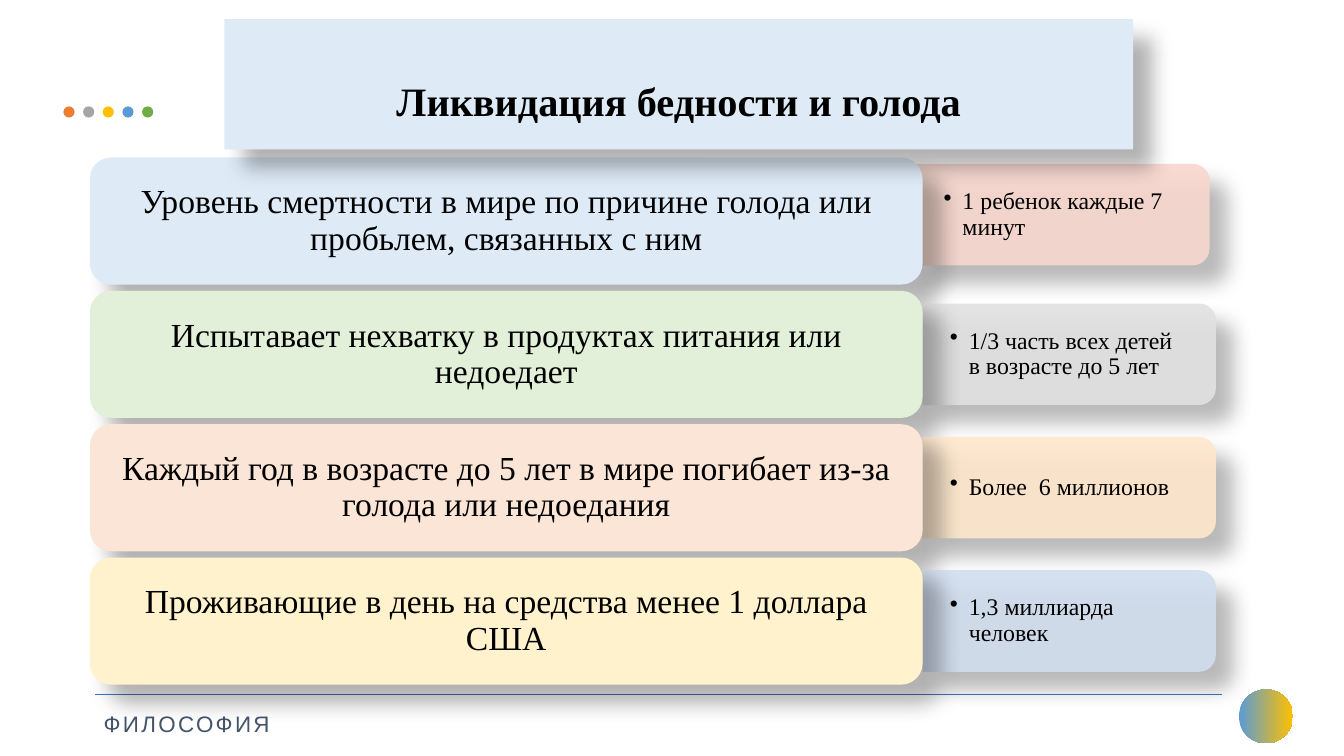
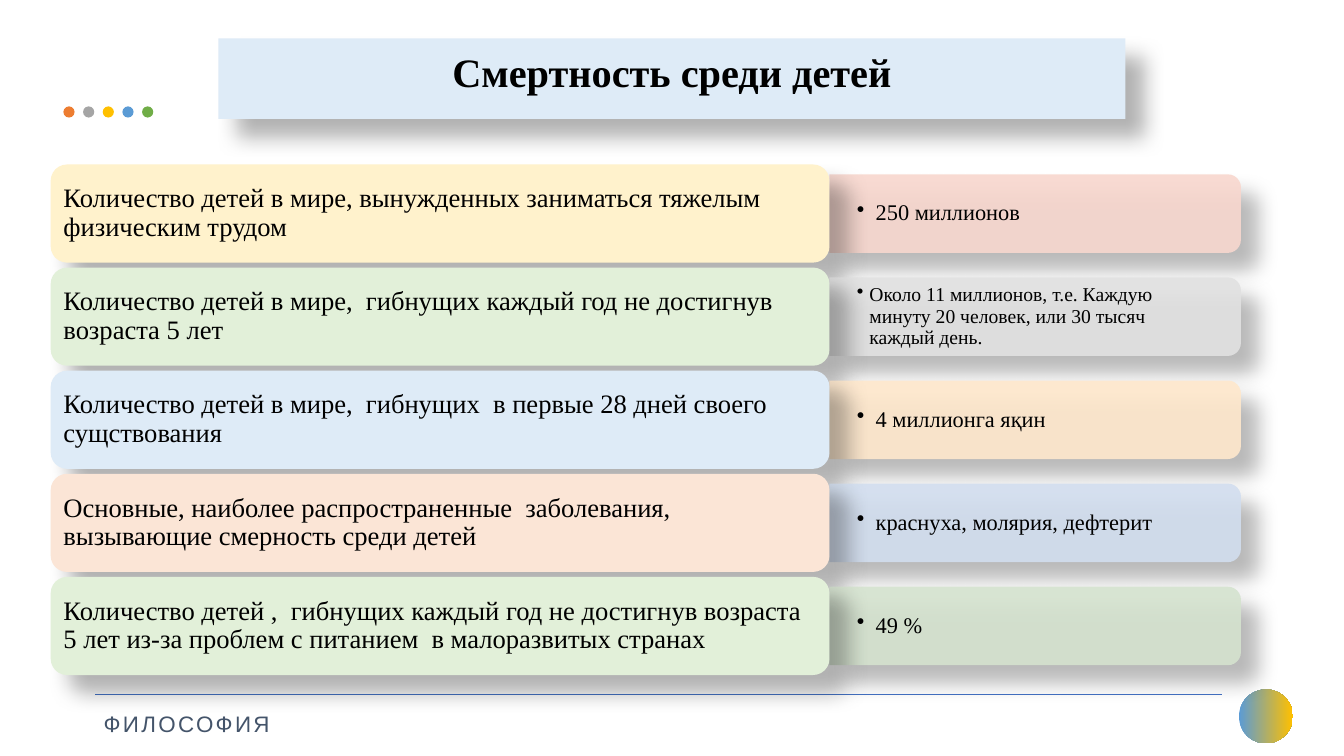
from dataclasses import dataclass

from lxml.etree import SubElement
from pptx import Presentation
from pptx.dml.color import RGBColor
from pptx.enum.shapes import MSO_CONNECTOR, MSO_SHAPE
from pptx.enum.text import MSO_ANCHOR, PP_ALIGN
from pptx.oxml.ns import qn
from pptx.util import Pt

BLACK = RGBColor(0x00, 0x00, 0x00)
SLATE = RGBColor(0x44, 0x54, 0x6A)
RULE_BLUE = RGBColor(0x44, 0x72, 0xC4)
ORANGE = RGBColor(0xED, 0x7D, 0x31)
GREY = RGBColor(0xA5, 0xA5, 0xA5)
GOLD = RGBColor(0xFF, 0xC0, 0x00)
BLUE = RGBColor(0x5B, 0x9B, 0xD5)
GREEN = RGBColor(0x70, 0xAD, 0x47)
PALE_BLUE = RGBColor(0xDE, 0xEB, 0xF7)
PALE_GREEN = RGBColor(0xE2, 0xF0, 0xD9)
PALE_ORANGE = RGBColor(0xFB, 0xE5, 0xD6)
PALE_YELLOW = RGBColor(0xFF, 0xF2, 0xCC)
VALUE_FILLS = [
    RGBColor(0xF8, 0xD7, 0xCE),
    RGBColor(0xE1, 0xE1, 0xE1),
    RGBColor(0xFF, 0xE8, 0xCC),
    RGBColor(0xD2, 0xDE, 0xEF),
    RGBColor(0xD5, 0xE3, 0xCF),
]
DOT_FILLS = [ORANGE, GREY, GOLD, BLUE, GREEN]

SERIF = "Times New Roman"
SANS = "Arial"
ROW_PITCH = 1.05
VALUE_HEIGHT = 0.8


@dataclass
class Box:
    left: float
    top: float
    width: float
    height: float

    def lengths(self):
        return [Pt(n) for n in (self.left, self.top, self.width, self.height)]


@dataclass
class Row:
    label: str
    fill: RGBColor
    value: str
    value_size: float
    hanging: float = 13.5
    shift: tuple = (0, 0)


@dataclass
class RowStyle:
    label_size: float
    alignment: PP_ALIGN
    inset: float


def add_filled(slide, kind, box, color):
    shape = slide.shapes.add_shape(kind, *box.lengths())
    shape.shadow.inherit = False
    shape.line.fill.background()
    shape.fill.solid()
    shape.fill.fore_color.rgb = color
    return shape


def add_soft_shadow(shape):
    effects = shape._element.spPr.find(qn("a:effectLst"))
    shadow = SubElement(effects, qn("a:outerShdw"), blurRad=str(Pt(15)),
                        dist=str(Pt(18)), dir="2700000", algn="tl",
                        rotWithShape="0")
    color = SubElement(shadow, qn("a:srgbClr"), val=str(BLACK))
    SubElement(color, qn("a:alpha"), val="30000")


def write_text(shape, text, size, font=SERIF, color=BLACK, bold=False,
               alignment=PP_ALIGN.LEFT, anchor=MSO_ANCHOR.MIDDLE,
               insets=(0, 0, 0, 0), spacing=0.9, wrap=True):
    """Insets run left, top, right, bottom."""
    frame = shape.text_frame
    frame.text = text
    frame.word_wrap = wrap
    frame.vertical_anchor = anchor
    (frame.margin_left, frame.margin_top,
     frame.margin_right, frame.margin_bottom) = [Pt(n) for n in insets]
    paragraph = frame.paragraphs[0]
    paragraph.alignment = alignment
    paragraph.line_spacing = spacing
    run = paragraph.runs[0]
    run.font.name = font
    run.font.size = Pt(size)
    run.font.bold = bold
    run.font.color.rgb = color
    return paragraph


def add_bullet(paragraph, hanging):
    properties = paragraph._p.get_or_add_pPr()
    properties.set("marL", str(Pt(hanging)))
    properties.set("indent", str(-Pt(hanging)))
    SubElement(properties, qn("a:buChar"), char="•")


def add_dots(slide, box):
    gap = (box.width - box.height) / (len(DOT_FILLS) - 1)
    for index, color in enumerate(DOT_FILLS):
        dot = Box(box.left + index * gap, box.top, box.height, box.height)
        add_filled(slide, MSO_SHAPE.OVAL, dot, color)


def add_footer(slide, box):
    """Rule along the top, course name at the left, round badge at the right."""
    badge = add_filled(slide, MSO_SHAPE.OVAL,
                       Box(box.left + 817, box.top - 3.5, 38.5, 38.5), BLUE)
    badge.fill.gradient()
    badge.fill.gradient_angle = 0
    for stop, color, position in zip(badge.fill.gradient_stops, (BLUE, GOLD), (0, 1)):
        stop.color.rgb = color
        stop.position = position

    rule = slide.shapes.add_connector(
        MSO_CONNECTOR.STRAIGHT, Pt(box.left), Pt(box.top),
        Pt(box.left + box.width), Pt(box.top))
    rule.line.color.rgb = RULE_BLUE
    rule.line.width = Pt(0.5)
    SubElement(rule._element.spPr, qn("a:effectLst"))

    course = slide.shapes.add_textbox(
        *Box(box.left + 3, box.top, 128, box.height).lengths())
    paragraph = write_text(course, "ФИЛОСОФИЯ", 16, font=SANS, color=SLATE,
                           insets=(3, 3, 3, 3), spacing=1.5, wrap=False)
    paragraph.runs[0].font._element.set("spc", "170")


def add_title(slide, box, text, top_inset):
    band = add_filled(slide, MSO_SHAPE.RECTANGLE, box, PALE_BLUE)
    add_soft_shadow(band)
    write_text(band, text, 28.8, bold=True, alignment=PP_ALIGN.CENTER,
               anchor=MSO_ANCHOR.TOP, insets=(7.2, top_inset, 7.2, 0), spacing=1.0)


def add_value(slide, box, row, color):
    """Tab with two rounded corners, turned so that they face right."""
    turned = Box(box.left + (box.width - box.height) / 2,
                 box.top + (box.height - box.width) / 2,
                 box.height, box.width)
    tab = add_filled(slide, MSO_SHAPE.ROUND_2_SAME_RECTANGLE, turned, color)
    tab.rotation = 90
    alpha_parent = tab._element.spPr.find(qn("a:solidFill"))[0]
    SubElement(alpha_parent, qn("a:alpha"), val="90000")
    add_soft_shadow(tab)

    caption = slide.shapes.add_textbox(
        *Box(box.left, box.top, box.width - 3.5, box.height).lengths())
    paragraph = write_text(caption, row.value, row.value_size,
                           insets=(19.5, 0, 19.5, 0))
    add_bullet(paragraph, row.hanging)


def add_rows(slide, box, label_width, rows, style):
    height = box.height / (ROW_PITCH * (len(rows) - 1) + 1)
    value_height = VALUE_HEIGHT * height
    for index, (row, color) in enumerate(zip(rows, VALUE_FILLS)):
        top = box.top + index * ROW_PITCH * height
        shift_x, shift_y = row.shift
        value_box = Box(box.left + label_width + shift_x,
                        top + (height - value_height) / 2 + shift_y,
                        box.width - label_width, value_height)
        add_value(slide, value_box, row, color)
        label = add_filled(slide, MSO_SHAPE.ROUNDED_RECTANGLE,
                           Box(box.left, top, label_width, height), row.fill)
        add_soft_shadow(label)
        write_text(label, row.label, style.label_size, alignment=style.alignment,
                   insets=(style.inset, style.inset / 2) * 2)


def add_base_slide(presentation):
    slide = presentation.slides.add_slide(presentation.slide_layouts[6])
    add_footer(slide, Box(68, 496, 805, 32))
    add_dots(slide, Box(45.3, 76, 64.2, 8))
    return slide


def build_poverty_slide(presentation):
    slide = add_base_slide(presentation)
    rows = [
        Row("Уровень смертности в мире по причине голода или пробьлем, связанных с ним",
            PALE_BLUE, "1 ребенок каждые 7 минут", 17, shift=(-4.5, -4.5)),
        Row("Испытавает нехватку в продуктах питания или недоедает",
            PALE_GREEN, "1/3 часть всех детей в возрасте до 5 лет", 17),
        Row("Каждый год в возрасте до 5 лет в мире погибает из-за голода или недоедания",
            PALE_ORANGE, "Более  6 миллионов", 17),
        Row("Проживающие в день на средства менее 1 доллара США",
            PALE_YELLOW, "1,3 миллиарда человек", 17),
    ]
    add_rows(slide, Box(64.2, 112.5, 804.3, 376.5), 594.8, rows,
             RowStyle(24, PP_ALIGN.CENTER, 7.2))
    add_title(slide, Box(160.3, 13.7, 649.2, 93), "Ликвидация бедности и голода", 40.5)


def build_mortality_slide(presentation):
    slide = add_base_slide(presentation)
    add_title(slide, Box(156, 27.4, 648, 57.6), "Смертность среди детей", 6)
    rows = [
        Row("Количество детей в мире, вынужденных заниматься тяжелым физическим трудом",
            PALE_YELLOW, "250 миллионов", 16),
        Row("Количество детей в мире,  гибнущих каждый год не достигнув возраста 5 лет",
            PALE_GREEN,
            "Около 11 миллионов, т.е. Каждую минуту 20 человек, или 30 тысяч каждый день.",
            14, hanging=9),
        Row("Количество детей в мире,  гибнущих  в первые 28 дней своего сущствования",
            PALE_BLUE, "4 миллионга яқин", 16),
        Row("Основные, наиболее распространенные  заболевания, вызывающие смерность среди детей",
            PALE_ORANGE, "краснуха, молярия, дефтерит", 16),
        Row("Количество детей ,  гибнущих каждый год не достигнув возраста 5 лет из-за "
            "проблем с питанием  в малоразвитых странах",
            PALE_GREEN, "49 %", 16),
    ]
    add_rows(slide, Box(36.2, 117.5, 850.2, 364.7), 556.3, rows,
             RowStyle(19, PP_ALIGN.LEFT, 5.7))


def main():
    presentation = Presentation()
    presentation.slide_width = Pt(960)
    presentation.slide_height = Pt(540)
    build_poverty_slide(presentation)
    build_mortality_slide(presentation)
    presentation.save("out.pptx")


if __name__ == "__main__":
    main()
